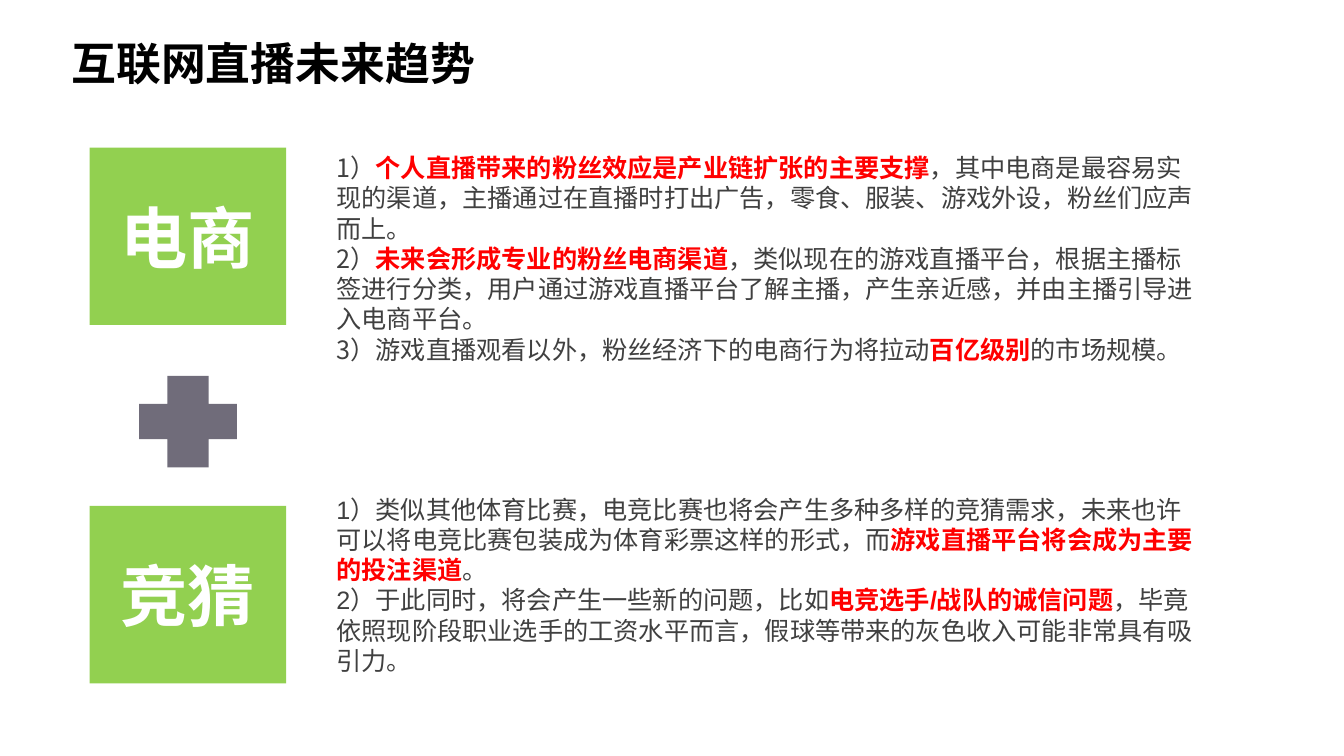
from pptx import Presentation
from pptx import util as u
from pptx.dml.color import RGBColor
from pptx.enum import shapes, text
from pptx.oxml.ns import qn
from lxml import etree

COLORS = {"black": "000000", "white": "FFFFFF", "green": "92D050",
          "plus": "706C7A", "body": "404040", "accent": "FF0000"}
CJK = "Noto Sans CJK SC"


def style(font, name, size, color, bold=False):
    font.name, font.size, font.bold = name, u.Pt(size), bold
    font.color.rgb = RGBColor.from_string(COLORS[color])
    east_asian = etree.SubElement(font._element, qn("a:ea"))
    east_asian.set("typeface", CJK)


def add_block(slide, kind, left, top, width, height, color):
    shape = slide.shapes.add_shape(kind, u.Cm(left), u.Cm(top), u.Cm(width), u.Cm(height))
    shape.shadow.inherit = False
    shape.fill.solid()
    shape.fill.fore_color.rgb = RGBColor.from_string(COLORS[color])
    shape.line.fill.background()
    return shape


presentation = Presentation()
presentation.slide_width, presentation.slide_height = u.Cm(33.87), u.Cm(19.05)
slide = presentation.slides.add_slide(presentation.slide_layouts[5])

# Title
title = slide.shapes.title
title.left, title.top, title.width, title.height = u.Cm(1.55), u.Cm(0.46), u.Cm(30.7), u.Cm(1.95)
title.text_frame.text = "互联网直播未来趋势"
title.text_frame.vertical_anchor = text.MSO_ANCHOR.BOTTOM
paragraph = title.text_frame.paragraphs[0]
paragraph.alignment = text.PP_ALIGN.LEFT
paragraph.line_spacing = 0.9
style(paragraph.font, "Montserrat", 32, "black", True)

# Topics: label, block top, text top, text height, paragraphs of (wording, emphasis, font)
topics = [
    ("电商", 3.72, 3.72, 5.64, [
        [("1）", False, CJK),
         ("个人直播带来的粉丝效应是产业链扩张的主要支撑", True, CJK),
         ("，其中电商是最容易实现的渠道，主播通过在直播时打出广告，零食、服装、游戏外设，粉丝们应声而上。", False, CJK)],
        [("2）", False, CJK),
         ("未来会形成专业的粉丝电商渠道", True, CJK),
         ("，类似现在的游戏直播平台，根据主播标签进行分类，用户通过游戏直播平台了解主播，产生亲近感，并由主播引导进入电商平台。", False, CJK)],
        [("3）游戏直播观看以外，粉丝经济下的电商行为将拉动", False, CJK),
         ("百亿级别", True, CJK),
         ("的市场规模。", False, CJK)],
    ]),
    ("竞猜", 12.75, 12.32, 4.88, [
        [("1", False, "Arial"),
         ("）类似其他体育比赛，电竞比赛也将会产生多种多样的竞猜需求，未来也许可以将电竞比赛包装成为体育彩票这样的形式，而", False, CJK),
         ("游戏直播平台将会成为主要的投注渠道", True, CJK),
         ("。", False, CJK)],
        [("2", False, "Arial"),
         ("）于此同时，将会产生一些新的问题，比如", False, CJK),
         ("电竞选手", True, CJK),
         ("/", True, "Arial"),
         ("战队的诚信问题", True, CJK),
         ("，毕竟依照现阶段职业选手的工资水平而言，假球等带来的灰色收入可能非常具有吸引力。", False, CJK)],
    ]),
]

for label, block_top, text_top, text_height, paragraphs in topics:
    # Green label block
    block = add_block(slide, shapes.MSO_SHAPE.RECTANGLE, 2.26, block_top, 4.95, 4.47, "green")
    block.text_frame.text = label
    block.text_frame.vertical_anchor = text.MSO_ANCHOR.MIDDLE
    paragraph = block.text_frame.paragraphs[0]
    paragraph.alignment = text.PP_ALIGN.CENTER
    style(paragraph.font, CJK, 48, "white", True)

    # Explanation beside it
    box = slide.shapes.add_textbox(u.Cm(8.23), u.Cm(text_top), u.Cm(22.23), u.Cm(text_height))
    frame = box.text_frame
    frame.word_wrap = True
    for index, runs in enumerate(paragraphs):
        paragraph = frame.add_paragraph() if index else frame.paragraphs[0]
        for wording, emphasis, font_name in runs:
            run = paragraph.add_run()
            run.text = wording
            style(run.font, font_name, 18, "accent" if emphasis else "body", emphasis)

# Plus sign between the blocks
plus = add_block(slide, shapes.MSO_SHAPE.CROSS, 3.51, 9.47, 2.46, 2.31, "plus")
plus.adjustments[0] = 0.308

presentation.save("out.pptx")
